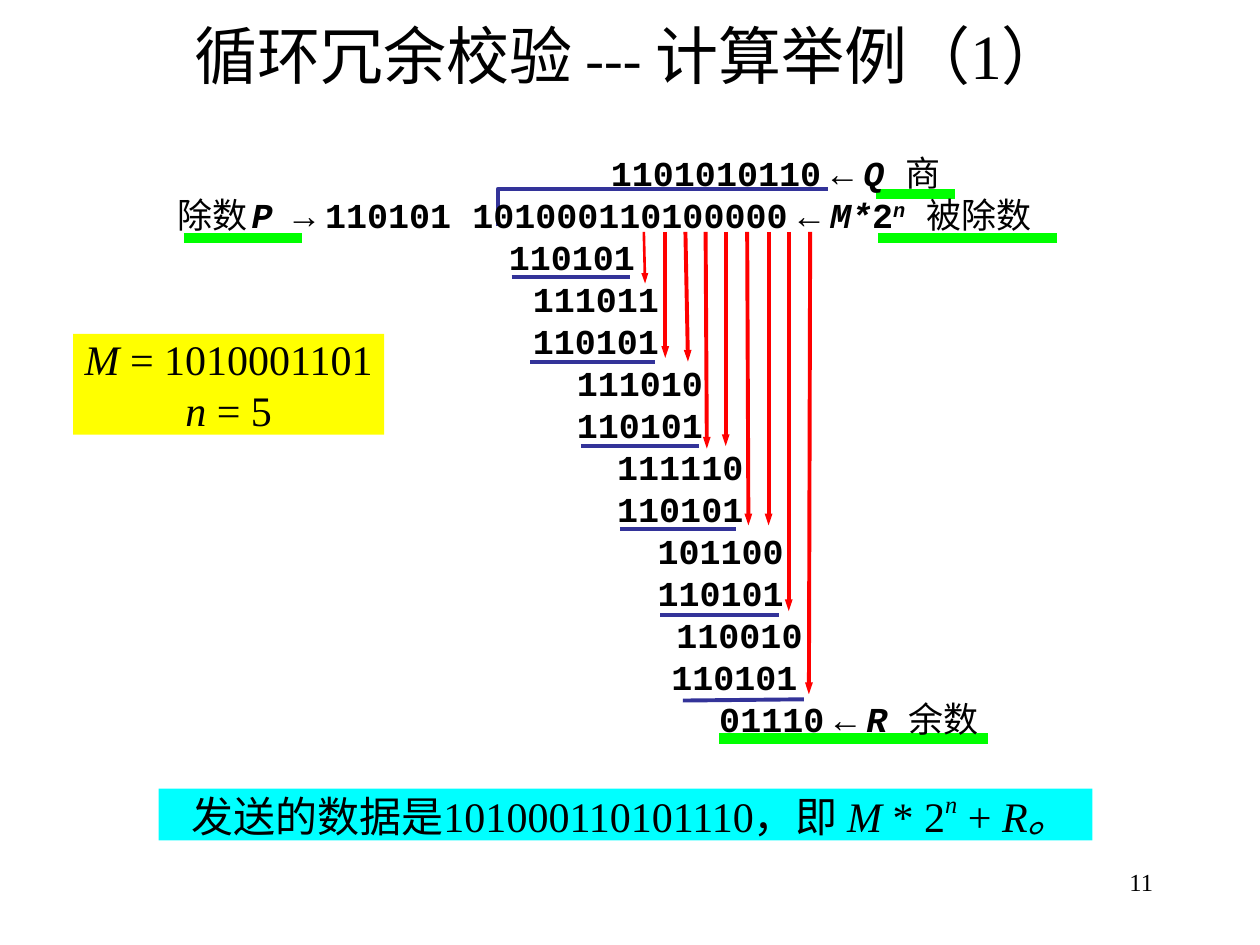
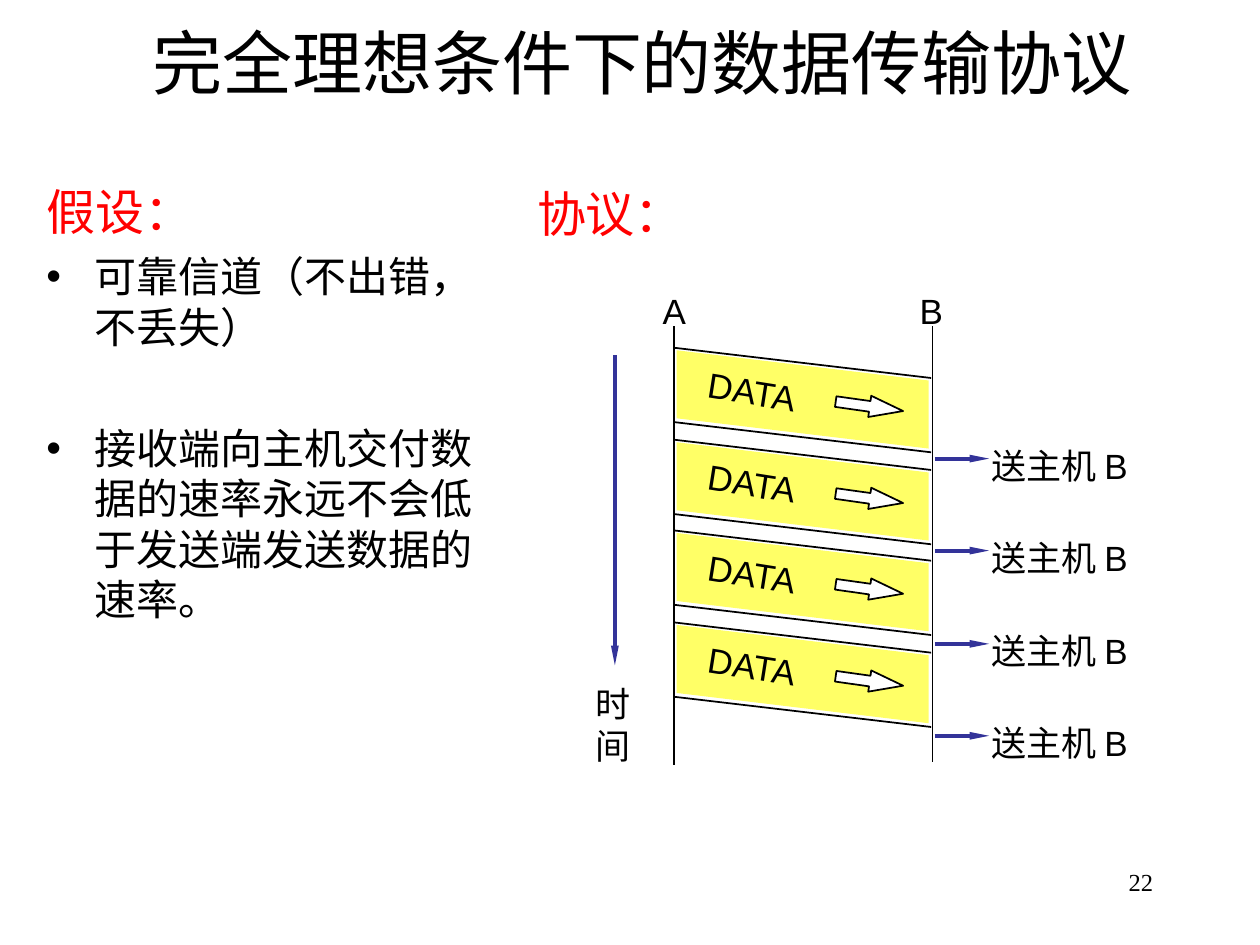
from dataclasses import dataclass

from lxml.etree import SubElement
from pptx import Presentation
from pptx.dml.color import RGBColor
from pptx.enum.shapes import MSO_CONNECTOR, MSO_SHAPE
from pptx.enum.text import MSO_ANCHOR, PP_ALIGN
from pptx.oxml.ns import qn
from pptx.util import Pt

PX = 9144  # EMU in one px, 100 px to the inch


@dataclass(frozen=True)
class Theme:
    black: RGBColor = RGBColor(0x00, 0x00, 0x00)
    white: RGBColor = RGBColor(0xFF, 0xFF, 0xFF)
    red: RGBColor = RGBColor(0xFF, 0x00, 0x00)
    indigo: RGBColor = RGBColor(0x33, 0x33, 0x99)
    green: RGBColor = RGBColor(0x00, 0xFF, 0x00)
    cyan: RGBColor = RGBColor(0x00, 0xFF, 0xFF)
    yellow: RGBColor = RGBColor(0xFF, 0xFF, 0x00)
    frame_yellow: RGBColor = RGBColor(0xFF, 0xFF, 0x66)
    serif: str = "Times New Roman"
    sans: str = "Arial"
    mono: str = "Courier New"
    title: int = 40
    long_title: int = 36
    dash: int = 32
    heading: int = 28
    body: int = 24
    label: int = 20
    page: int = 14
    gap: int = 10
    thin: float = 1
    medium: float = 1.5
    thick: float = 2.25
    marker: float = 6


theme = Theme()


def add_text(slide, box, lines, size, font=theme.serif, color=theme.black, align=PP_ALIGN.LEFT,
             insets=(10, 5, 10, 5), wrap=True, fill=None):
    """Add text; a line is a string or a list of (text, run format) pairs."""
    left, top, width, height = [value * PX for value in box]
    if fill is None:
        shape = slide.shapes.add_textbox(left, top, width, height)
    else:
        shape = slide.shapes.add_shape(MSO_SHAPE.RECTANGLE, left, top, width, height)
        shape.shadow.inherit = False
        shape.fill.solid()
        shape.fill.fore_color.rgb = fill
        shape.line.fill.background()
    frame = shape.text_frame
    frame.word_wrap = wrap
    frame.vertical_anchor = MSO_ANCHOR.TOP
    frame.margin_left, frame.margin_top, frame.margin_right, frame.margin_bottom = [
        value * PX for value in insets]
    for index, line in enumerate(lines):
        paragraph = frame.add_paragraph() if index else frame.paragraphs[0]
        paragraph.alignment = align
        for text, run_format in [(line, {})] if isinstance(line, str) else line:
            run = paragraph.add_run()
            run.text = text
            run.font.name = font
            run.font.color.rgb = color
            run.font.size = Pt(run_format.get("size", size))
            run.font.bold = run_format.get("bold", False)
            run.font.italic = run_format.get("italic", False)
            if "raised" in run_format:
                run._r.get_or_add_rPr().set("baseline", str(run_format["raised"] * 1000))
    return shape


def add_line(slide, start, end, color, width, head_length=None):
    """Add a straight line, with an arrowhead at its end if a length is given."""
    line = slide.shapes.add_connector(
        MSO_CONNECTOR.STRAIGHT, *[value * PX for value in (*start, *end)])
    line.line.color.rgb = color
    line.line.width = Pt(width)
    if head_length:
        SubElement(line.line._get_or_add_ln(), qn("a:tailEnd"),
                   type="triangle", w="sm", len=head_length)
    SubElement(line._element.spPr, qn("a:effectLst"))


presentation = Presentation()
presentation.slide_width = 1000 * PX
presentation.slide_height = 750 * PX

plain = {}
italic = {"italic": True}
bold = {"bold": True}
bold_italic = {"bold": True, "italic": True}
gap = (" ", {"bold": True, "size": theme.gap})

slide_heads = [
    ("11", (0, 5, 1000, 77), theme.long_title,
     [("循环冗余校验", plain), (" --- ", {"size": theme.dash}), ("计算举例（1）", plain)]),
    ("22", (35, 13, 949, 71), theme.title, "完全理想条件下的数据传输协议"),
]
slides = []
for page, title_box, title_size, title in slide_heads:
    slide = presentation.slides.add_slide(presentation.slide_layouts[6])
    add_text(slide, (717, 683, 208, 50), [page], theme.page, align=PP_ALIGN.RIGHT)
    heading = add_text(slide, title_box, [title], title_size, align=PP_ALIGN.CENTER)
    heading.text_frame.vertical_anchor = MSO_ANCHOR.MIDDLE
    slides.append(slide)
division_slide, protocol_slide = slides

# Markers and the division bracket lie behind the digits
for left, right, y in [(571, 784, 586), (697, 839, 189), (146, 240, 189), (695, 758, 154)]:
    add_line(division_slide, (left, y), (right, y), theme.green, theme.marker)

builder = division_slide.shapes.build_freeform(395, 179, scale=PX)
builder.add_line_segments([(395, 150), (657, 150)], close=False)
bracket = builder.convert_to_shape()
bracket.shadow.inherit = False
bracket.fill.background()
bracket.line.color.rgb = theme.indigo
bracket.line.width = Pt(theme.thick)

# Long division: each row has a left indent and its text
arrow_left = [gap, ("←", bold), gap]
division_rows = [
    (350, [("1101010110", bold), *arrow_left, ("Q ", bold_italic), ("商", plain)]),
    (6, [("除数", plain), gap, ("P ", bold_italic), ("→", bold), gap,
         ("110101 101000110100000", bold), *arrow_left, ("M*", bold_italic), ("2", bold),
         ("n", {**bold_italic, "raised": 30}), (" ", bold_italic), ("被除数", plain)]),
]
for indent, digits in [
    (269, "110101"), (288, "111011"), (288, "110101"), (323, "111010"), (323, "110101"),
    (355, "111110"), (355, "110101"), (387, "101100"), (387, "110101"), (402, "110010"),
    (398, "110101"),
]:
    division_rows.append((indent, [(digits, bold)]))
division_rows.append(
    (436, [("01110", bold), *arrow_left, ("R ", bold_italic), ("余数", plain)]))

division = add_text(division_slide, (125, 115, 761, 477), [row for _, row in division_rows],
                    theme.label, theme.mono)
for paragraph, (indent, _) in zip(division.text_frame.paragraphs, division_rows):
    paragraph.line_spacing = Pt(24)
    properties = paragraph._p.get_or_add_pPr()
    properties.set("marL", str(indent * PX))
    properties.set("indent", "0")

bring_downs = [(511, 512, 225), (528, 528, 284), (544, 546, 287), (560, 561, 356),
               (576, 576, 354), (593, 594, 417), (610, 610, 417), (626, 626, 485),
               (643, 642, 551)]
for index, (start_x, end_x, end_y) in enumerate(bring_downs):
    add_line(division_slide, (start_x, 184), (end_x, end_y), theme.red,
             theme.thick if index else theme.medium, "med")

subtraction_rules = [(542, 556, 638, 555), (524, 488, 618, 488), (492, 420, 584, 420),
                     (461, 354, 555, 354), (421, 287, 520, 287), (406, 220, 500, 220)]
for x1, y1, x2, y2 in subtraction_rules:
    add_line(division_slide, (x1, y1), (x2, y2), theme.indigo, theme.thick)

add_text(division_slide, (126, 626, 741, 41),
         [[("发送的数据是101000110101110，即 ", plain), ("M ", italic), ("* 2", plain),
           ("n", {"italic": True, "raised": 46}), (" + ", plain), ("R。", italic)]],
         theme.body, align=PP_ALIGN.CENTER, insets=(8, 0, 0, 0), wrap=False, fill=theme.cyan)
add_text(division_slide, (58, 265, 247, 80),
         [[("M", italic), (" = 1010001101", plain)], [("n", italic), (" = 5", plain)]],
         theme.body, align=PP_ALIGN.CENTER, insets=(0, 0, 0, 0), wrap=False, fill=theme.yellow)

# Assumptions
assumptions = add_text(protocol_slide, (27, 139, 370, 528),
                       ["假设：", "可靠信道（不出错，不丢失）",
                        "接收端向主机交付数据的速率永远不会低于发送端发送数据的速率。"], theme.body)
assumption_heading, *bullets = assumptions.text_frame.paragraphs
assumption_heading.space_before = Pt(7)
assumption_heading.runs[0].font.size = Pt(theme.heading)
assumption_heading.runs[0].font.color.rgb = theme.red
for paragraph, space_before in zip(bullets, (6, 40.5)):
    paragraph.space_before = Pt(space_before)
    properties = paragraph._p.get_or_add_pPr()
    properties.set("marL", str(38 * PX))
    properties.set("indent", str(-38 * PX))
    SubElement(properties, qn("a:buFont"), typeface=theme.sans)
    SubElement(properties, qn("a:buChar"), char="•")

# Timeline between stations A and B
for station, label_x, line_x, bottom in [("A", 516, 535, 607), ("B", 720, 740, 605)]:
    add_line(protocol_slide, (line_x, 259), (line_x, bottom), theme.black, theme.thin)
    add_text(protocol_slide, (label_x, 225, 38, 43), [station], theme.label, theme.sans, wrap=False)

for index in range(4):
    top = 276 + round(72.7 * index)
    for edge in (top, top + 59):
        add_line(protocol_slide, (535, edge), (739, edge + 24), theme.black, theme.thin)

    builder = protocol_slide.shapes.build_freeform(537, top + 2, scale=PX)
    builder.add_line_segments([(737, top + 26), (737, top + 80), (537, top + 56)])
    data_frame = builder.convert_to_shape()
    data_frame.shadow.inherit = False
    data_frame.fill.solid()
    data_frame.fill.fore_color.rgb = theme.frame_yellow
    data_frame.line.fill.background()

    direction = protocol_slide.shapes.add_shape(
        MSO_SHAPE.RIGHT_ARROW, 663 * PX, (top + 38) * PX, 54 * PX, 17 * PX)
    direction.shadow.inherit = False
    direction.rotation = 8
    direction.adjustments[0] = 0.5
    direction.adjustments[1] = 1.57
    direction.fill.solid()
    direction.fill.fore_color.rgb = theme.white
    direction.line.color.rgb = theme.black
    direction.line.width = Pt(theme.thin)

    data_label = add_text(protocol_slide, (552, top + 13, 94, 43), ["DATA"],
                          theme.label, theme.sans, wrap=False)
    data_label.rotation = 9

    delivery_y = 364 + round(73.3 * index)
    add_line(protocol_slide, (742, delivery_y), (785, delivery_y), theme.indigo, theme.thick, "lg")
    add_text(protocol_slide, (777, delivery_y - 16, 135, 43), ["送主机 B"], theme.label, theme.sans)

add_line(protocol_slide, (488, 282), (488, 528), theme.indigo, theme.thick, "lg")
add_text(protocol_slide, (463, 537, 48, 76), ["时", "间"], theme.label, theme.sans)
add_text(protocol_slide, (426, 146, 117, 47), ["协议："], theme.heading, color=theme.red,
         align=PP_ALIGN.CENTER, insets=(0, 0, 0, 0), wrap=False)

presentation.save("out.pptx")
